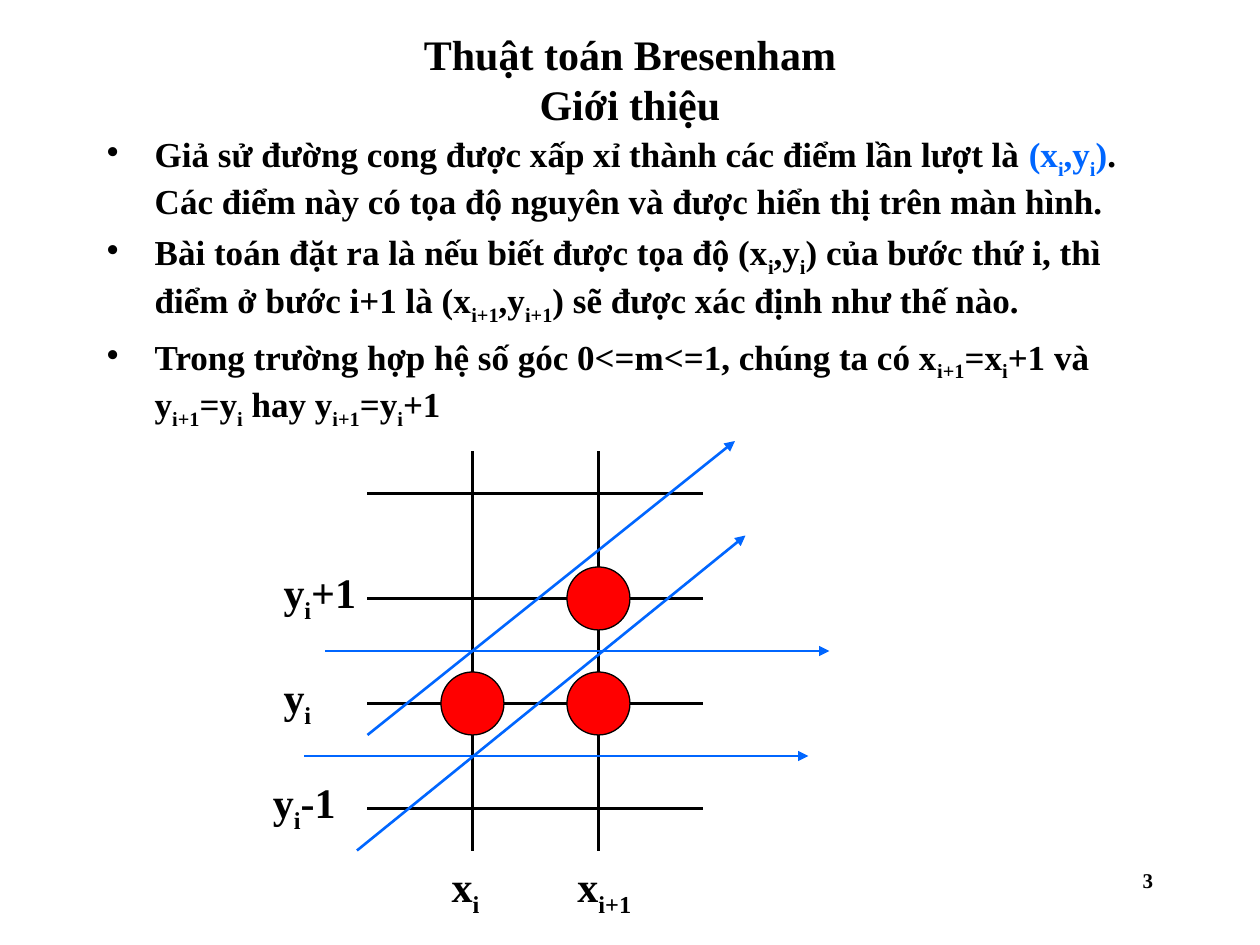
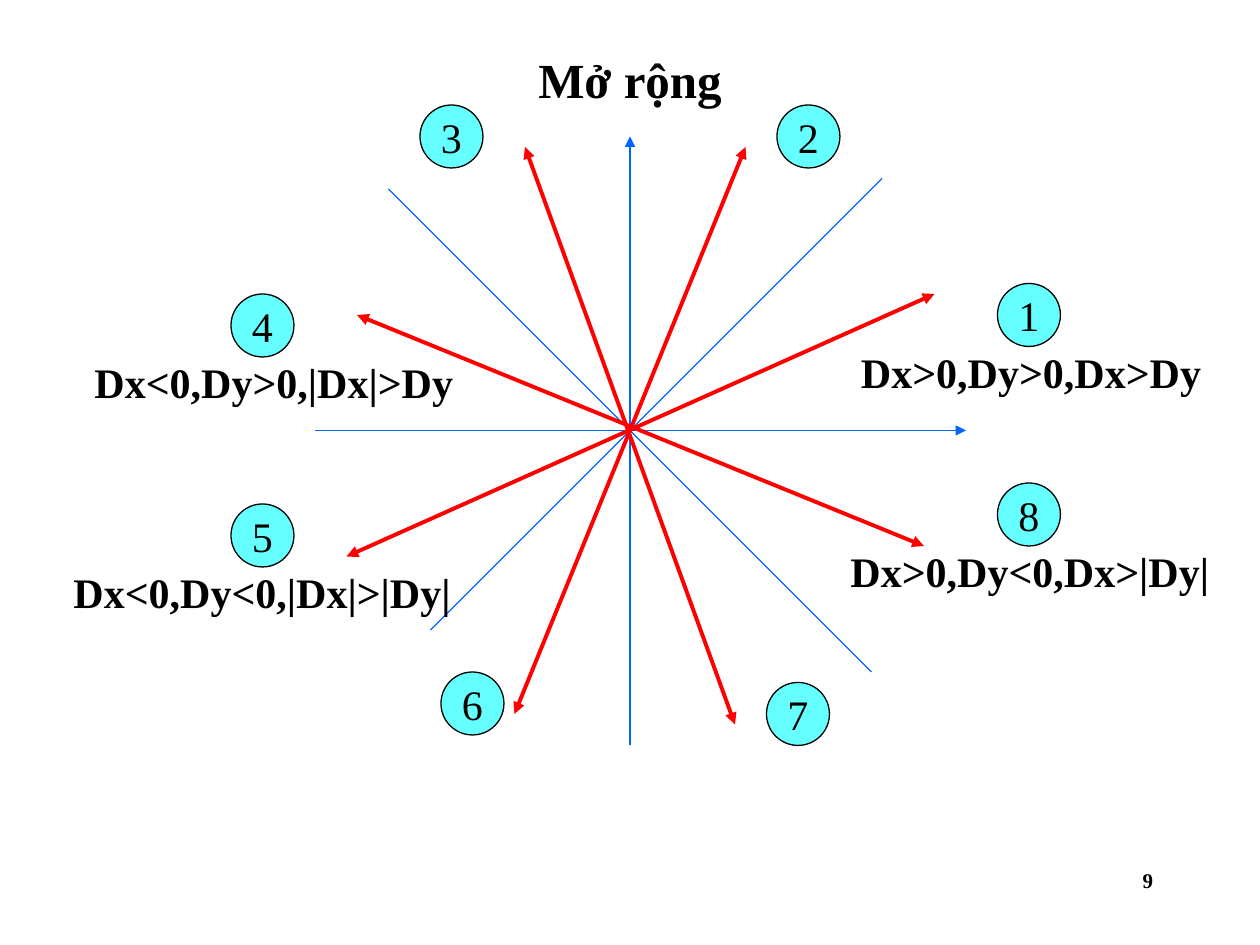
from pptx import Presentation
from pptx.dml.color import RGBColor
from pptx.enum.shapes import MSO_CONNECTOR as Conn, MSO_SHAPE as Shape
from pptx.enum.text import MSO_ANCHOR as Anchor, PP_ALIGN as Align
from pptx.oxml.ns import qn
from pptx.util import Inches, Pt
from lxml.etree import SubElement

# Shared look; every length is in grid cells of 1/12 inch
CELL = Inches(1) // 12
WIDE, HIGH = 120, 90
FONT = "Times New Roman"
BLACK = RGBColor(0, 0, 0)
WHITE = RGBColor(255, 255, 255)
BLUE = RGBColor(0, 0x66, 0xFF)
RED = RGBColor(255, 0, 0)
CYAN = RGBColor(0x66, 255, 255)
PAD = (0.1, 0.05)
DOT = 6  # circle diameter

# Slide 1: "~" switches subscript, "#" switches blue
INTRO = "Thuật toán Bresenham\vGiới thiệu"
POINTS = [
    "Giả sử đường cong được xấp xỉ thành các điểm lần lượt là #(x~i~,y~i~)#. "
    "Các điểm này có tọa độ nguyên và được hiển thị trên màn hình.",
    "Bài toán đặt ra là nếu biết được tọa độ (x~i~,y~i~) của bước thứ i, "
    "thì điểm ở bước i+1 là (x~i+1~,y~i+1~) sẽ được xác định như thế nào.",
    "Trong trường hợp hệ số góc 0<=m<=1, chúng ta có x~i+1~=x~i~+1 và "
    "y~i+1~=y~i~ hay y~i+1~=y~i~+1",
]
COLS = (45, 57)
ROWS = (47, 57, 67, 77)
PIXELS = [(0, 2), (1, 2), (1, 1)]  # column, row
RAYS = [(29, 72, 77, 72), (34, 81, 71, 51), (31, 62, 79, 62), (35, 70, 70, 42)]
MARKS = [("x~i~", 43, 82, 4), ("x~i+1~", 55, 82, 7), ("y~i~+1", 27, 54, 9),
         ("y~i~", 27, 64, 4), ("y~i~-1", 26, 74, 9)]

# Slide 2
WIDER = "Mở rộng"
AXES = [(60, 71, 60, 13), (30, 41, 92, 41)]
DIAGS = [(41, 60, 84, 17), (37, 18, 83, 64)]
SPOKES = [(33, 53, 89, 28), (71, 14, 49, 68), (50, 14, 70, 69), (34, 30, 88, 52)]
OCTANTS = [(95, 27), (74, 10), (40, 10), (22, 28),
           (22, 48), (42, 64), (73, 65), (95, 46)]
CASES = [("Dx>0,Dy>0,Dx>Dy", 82, 33, 35), ("Dx>0,Dy<0,Dx>|Dy|", 81, 52, 35),
         ("Dx<0,Dy>0,|Dx|>Dy", 9, 34, 35), ("Dx<0,Dy<0,|Dx|>|Dy|", 7, 54, 37)]


def cells(*nums):
    return [round(n * CELL) for n in nums]


def style(run, size, bold=True, tint=BLACK):
    font = run.font
    font.name, font.size, font.bold = FONT, Pt(size), bold
    font.color.rgb = tint


def fill_par(par, text, size):
    """Write marked-up text as runs."""
    for n, span in enumerate(text.split("#")):
        for k, part in enumerate(span.split("~")):
            if part:
                run = par.add_run()
                run.text = part
                style(run, size, tint=BLUE if n % 2 else BLACK)
                if k % 2:
                    run.font._element.set("baseline", "-25000")


def add_box(slide, area, pad=(0, 0), wrap=True):
    frame = slide.shapes.add_textbox(*cells(*area)).text_frame
    frame.word_wrap = wrap
    frame.margin_left = frame.margin_right = Inches(pad[0])
    frame.margin_top = frame.margin_bottom = Inches(pad[1])
    return frame


def add_text(slide, text, area, size, align):
    frame = add_box(slide, area, PAD)
    frame.text = text
    par = frame.paragraphs[0]
    par.alignment = align
    for run in par.runs:
        style(run, size)
    return frame


def add_label(slide, text, x, y, wide):
    frame = add_box(slide, (x, y, wide, 5), wrap=False)
    fill_par(frame.paragraphs[0], text, 24)


def add_line(slide, ends, tint, width, tips=()):
    line = slide.shapes.add_connector(Conn.STRAIGHT, *cells(*ends))
    line.line.color.rgb = tint
    line.line.width = Pt(width)
    for tip in tips:
        SubElement(line.line._get_or_add_ln(), qn("a:" + tip), type="triangle")
    SubElement(line._element.spPr, qn("a:effectLst"))


def add_dot(slide, x, y, tint, text=""):
    dot = slide.shapes.add_shape(Shape.OVAL, *cells(x, y, DOT, DOT))
    dot.shadow.inherit = False
    dot.fill.solid()
    dot.fill.fore_color.rgb = tint
    dot.line.color.rgb = BLACK
    dot.line.width = Pt(0.75)
    if text:
        frame = dot.text_frame
        frame.word_wrap = False
        frame.vertical_anchor = Anchor.MIDDLE
        frame.text = text
        par = frame.paragraphs[0]
        par.alignment = Align.CENTER
        style(par.runs[0], 24, bold=False)


def add_page(deck, title, size, num):
    slide = deck.slides.add_slide(deck.slide_layouts[6])
    slide.background.fill.solid()
    slide.background.fill.fore_color.rgb = WHITE
    head = add_text(slide, title, (9, 4, 102, 7), size, Align.CENTER)
    head.vertical_anchor = Anchor.MIDDLE
    add_text(slide, num, (86, 82, 25, 6), 12, Align.RIGHT)
    return slide


def add_points(slide):
    frame = add_box(slide, (9, 12, 102, 68), PAD)
    for n, text in enumerate(POINTS):
        par = frame.add_paragraph() if n else frame.paragraphs[0]
        if n:
            par.space_before = Pt(5)
        props = par._p.get_or_add_pPr()
        props.set("marL", str(Inches(0.38)))
        props.set("indent", str(-Inches(0.38)))
        tint = SubElement(props, qn("a:buClr"))
        SubElement(tint, qn("a:srgbClr"), val=str(BLACK))
        SubElement(props, qn("a:buChar"), char="•")
        fill_par(par, text, 20)


def main():
    deck = Presentation()
    deck.slide_width, deck.slide_height = cells(WIDE, HIGH)

    # Pixel grid with the candidate lines
    slide = add_page(deck, INTRO, 24, "3")
    add_points(slide)
    for x in COLS:
        add_line(slide, (x, 43, x, 81), BLACK, 2.25)
    for y in ROWS:
        add_line(slide, (35, y, 67, y), BLACK, 2.25)
    for col, row in PIXELS:
        add_dot(slide, COLS[col] - DOT / 2, ROWS[row] - DOT / 2, RED)
    for ends in RAYS:
        add_line(slide, ends, BLUE, 1.5, ["tailEnd"])
    for mark in MARKS:
        add_label(slide, *mark)

    # Eight octants
    slide = add_page(deck, WIDER, 28, "9")
    for ends in AXES:
        add_line(slide, ends, BLUE, 0.75, ["tailEnd"])
    for ends in DIAGS:
        add_line(slide, ends, BLUE, 0.75)
    for ends in SPOKES:
        add_line(slide, ends, RED, 2.25, ["headEnd", "tailEnd"])
    for n, (x, y) in enumerate(OCTANTS, 1):
        add_dot(slide, x, y, CYAN, str(n))
    for case in CASES:
        add_label(slide, *case)

    deck.save("out.pptx")


if __name__ == "__main__":
    main()
